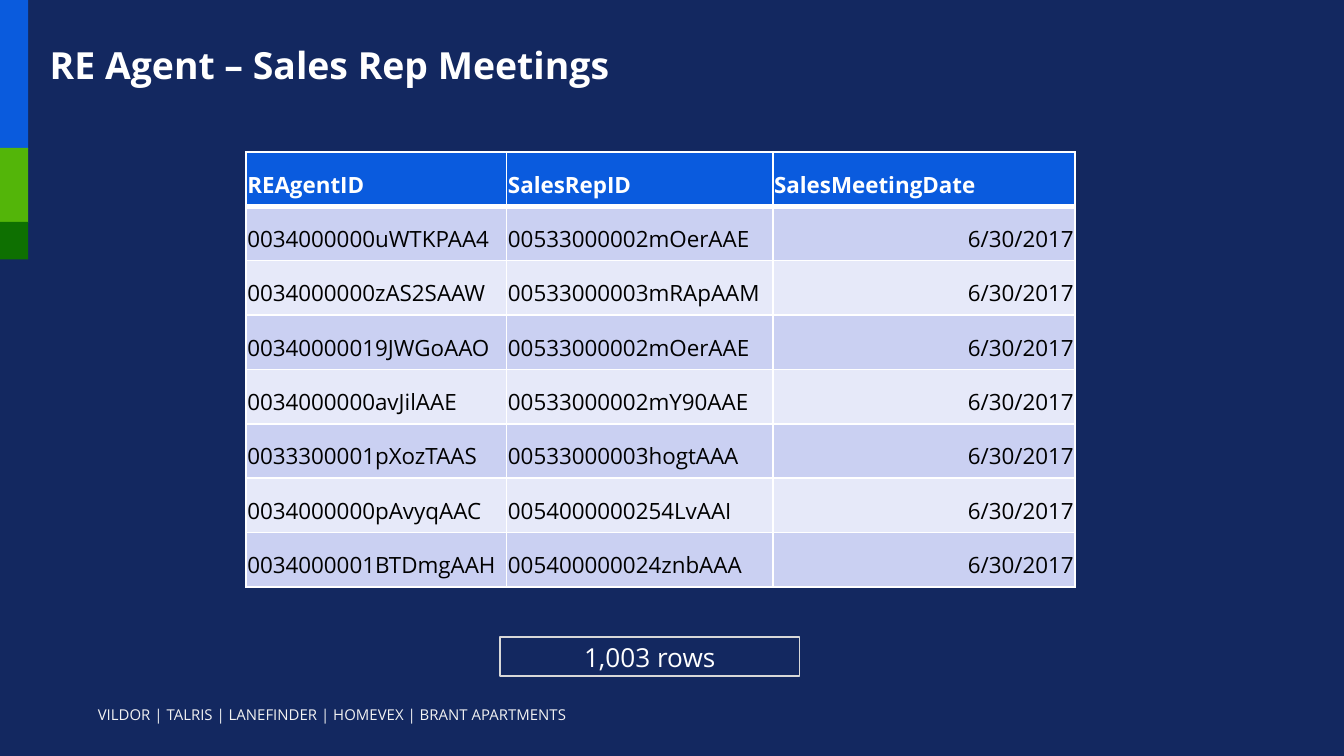
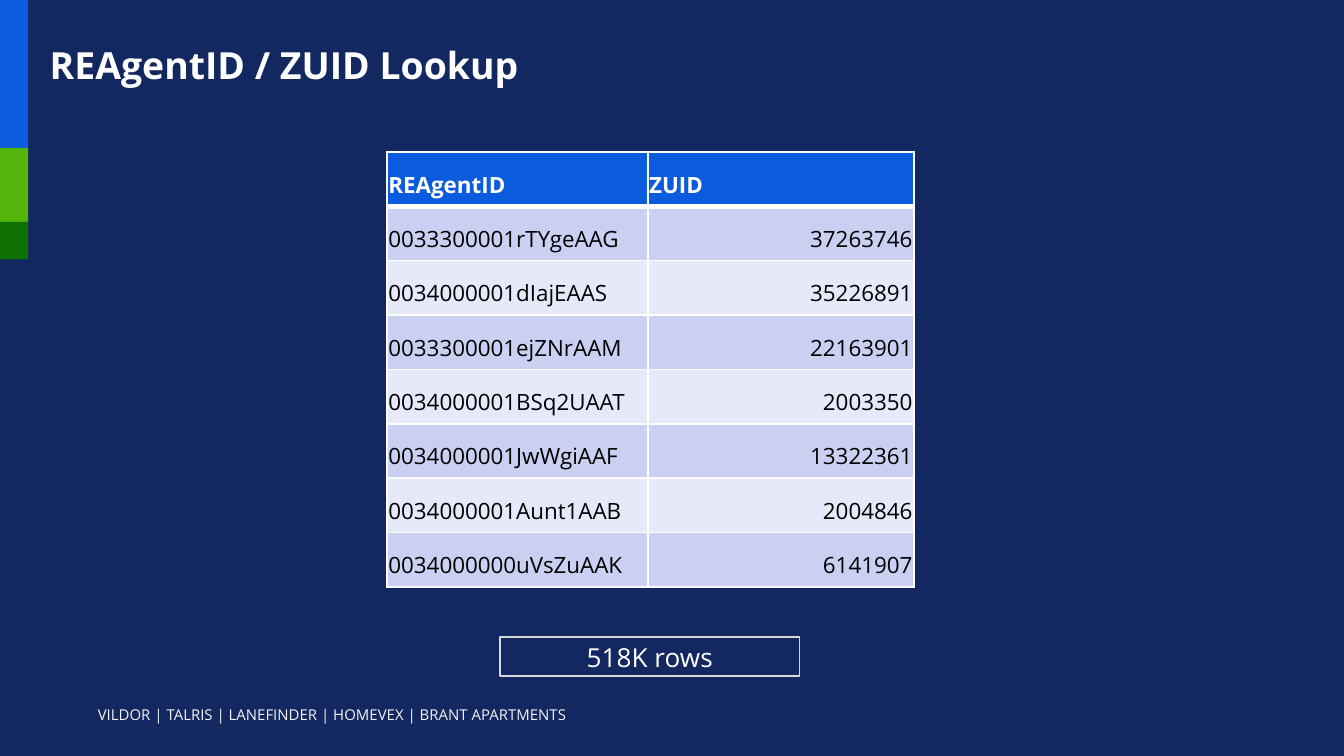
from lxml.etree import SubElement
from pptx import Presentation
from pptx.dml.color import RGBColor
from pptx.enum.shapes import MSO_SHAPE as Shape
from pptx.enum.text import MSO_ANCHOR as Anchor, PP_ALIGN as Align
from pptx.oxml.ns import qn
from pptx.util import Inches, Pt

FONT = "Open Sans"
NAVY = RGBColor(0x13, 0x28, 0x60)
BLUE = RGBColor(0x0A, 0x5B, 0xDD)
HEADER_BLUE = RGBColor(0x0A, 0x5B, 0xDE)
GREEN = RGBColor(0x53, 0xB5, 0x09)
DARK_GREEN = RGBColor(0x0E, 0x70, 0x01)
LAVENDER = RGBColor(0xCA, 0xD0, 0xF2)
PALE_LAVENDER = RGBColor(0xE6, 0xE9, 0xF9)
WHITE = RGBColor(0xFF, 0xFF, 0xFF)
OFF_WHITE = RGBColor(0xF2, 0xF2, 0xF2)
GRAY = RGBColor(0xD8, 0xD8, 0xD8)
BLACK = RGBColor(0, 0, 0)

SLIDE_WIDTH = Inches(10)
SLIDE_HEIGHT = SLIDE_WIDTH * 9 // 16
FOOTER = "VILDOR | TALRIS | LANEFINDER | HOMEVEX | BRANT APARTMENTS"
BANDS = [(0, 1.11, BLUE), (1.1, 0.56, GREEN), (1.65, 0.28, DARK_GREEN)]
BAND_WIDTH = 0.21
TABLE_TOP, TABLE_HEIGHT = 1.13, 3.24

SLIDES = [
    {
        "title": "RE Agent – Sales Rep Meetings",
        "left": 1.83,
        "columns": [1.94, 1.98, 2.25],
        "rows": [
            ("REAgentID", "SalesRepID", "SalesMeetingDate"),
            ("0034000000uWTKPAA4", "00533000002mOerAAE", "6/30/2017"),
            ("0034000000zAS2SAAW", "00533000003mRApAAM", "6/30/2017"),
            ("00340000019JWGoAAO", "00533000002mOerAAE", "6/30/2017"),
            ("0034000000avJilAAE", "00533000002mY90AAE", "6/30/2017"),
            ("0033300001pXozTAAS", "00533000003hogtAAA", "6/30/2017"),
            ("0034000000pAvyqAAC", "0054000000254LvAAI", "6/30/2017"),
            ("0034000001BTDmgAAH", "005400000024znbAAA", "6/30/2017"),
        ],
        "count": "1,003 rows",
    },
    {
        "title": "REAgentID / ZUID Lookup",
        "left": 2.88,
        "columns": [1.94, 1.98],
        "rows": [
            ("REAgentID", "ZUID"),
            ("0033300001rTYgeAAG", "37263746"),
            ("0034000001dIajEAAS", "35226891"),
            ("0033300001ejZNrAAM", "22163901"),
            ("0034000001BSq2UAAT", "2003350"),
            ("0034000001JwWgiAAF", "13322361"),
            ("0034000001Aunt1AAB", "2004846"),
            ("0034000000uVsZuAAK", "6141907"),
        ],
        "count": "518K rows",
    },
]


def set_margins(holder, margins):
    for side, size in zip(("left", "top", "right", "bottom"), margins):
        setattr(holder, f"margin_{side}", Inches(size))


def write(frame, text, size, color, bold=False, align=Align.LEFT):
    para = frame.paragraphs[0]
    para.alignment = align
    span = para.add_run()
    span.text = text
    for name, value in {"name": FONT, "size": Pt(size), "bold": bold}.items():
        setattr(span.font, name, value)
    span.font.color.rgb = color
    return para


def add_text(page, place, margins, anchor, *text_format):
    box = page.shapes.add_textbox(*map(Inches, place))
    frame = box.text_frame
    frame.word_wrap = True
    frame.vertical_anchor = anchor
    set_margins(frame, margins)
    return write(frame, *text_format)


def add_rectangle(page, *place):
    box = page.shapes.add_shape(Shape.RECTANGLE, *map(Inches, place))
    box.shadow.inherit = False
    return box


def add_frame(page, title):
    """Draw the background, side bands, footer and title."""
    page.background.fill.solid()
    page.background.fill.fore_color.rgb = NAVY
    for top, height, color in BANDS:
        band = add_rectangle(page, 0, top, BAND_WIDTH, height)
        band.fill.solid()
        band.fill.fore_color.rgb = color
        band.line.fill.background()
    add_text(page, (0.63, 5.2, 3.73, 0.24), (0.1, 0.05, 0.1, 0.05),
             Anchor.TOP, FOOTER, 8, OFF_WHITE)
    para = add_text(page, (0.35, 0.22, 9.52, 0.44), (0.02, 0.01, 0.02, 0.01),
                    Anchor.BOTTOM, title, 20, WHITE, True)
    para.line_spacing = 0.9


def add_borders(cell, top, bottom):
    """Draw white cell borders; the schema wants them ahead of the fill."""
    properties = cell._tc.get_or_add_tcPr()
    widths = {"L": 1, "R": 1, "T": top, "B": bottom}
    for index, (side, width) in enumerate(widths.items()):
        line = SubElement(properties, qn(f"a:ln{side}"), w=str(Pt(width)))
        fill = SubElement(line, qn("a:solidFill"))
        SubElement(fill, qn("a:srgbClr"), val=str(WHITE))
        properties.insert(index, line)


def add_data_table(page, left, columns, rows):
    place = map(Inches, (left, TABLE_TOP, sum(columns), TABLE_HEIGHT))
    table = page.shapes.add_table(len(rows), len(columns), *place).table
    for column, width in zip(table.columns, columns):
        column.width = Inches(width)
    for row_index, row in enumerate(rows):
        header = row_index == 0
        banded = LAVENDER if row_index % 2 else PALE_LAVENDER
        for column_index, text in enumerate(row):
            cell = table.cell(row_index, column_index)
            cell.vertical_anchor = Anchor.BOTTOM
            set_margins(cell, (0.01, 0.01, 0.01, 0.05))
            cell.fill.solid()
            cell.fill.fore_color.rgb = HEADER_BLUE if header else banded
            add_borders(cell, top=3 if row_index == 1 else 1,
                        bottom=3 if header else 1)
            last = column_index == len(columns) - 1
            write(cell.text_frame, text, 12, WHITE if header else BLACK, header,
                  Align.RIGHT if last and not header else Align.LEFT)


def add_row_count(page, text):
    box = add_rectangle(page, 3.72, 4.74, 2.23, 0.29)
    box.fill.background()
    box.line.color.rgb = GRAY
    box.line.width = Pt(1)
    box.text_frame.vertical_anchor = Anchor.MIDDLE
    write(box.text_frame, text, 14, WHITE, align=Align.CENTER)


def main():
    deck = Presentation()
    deck.slide_width, deck.slide_height = SLIDE_WIDTH, SLIDE_HEIGHT
    for content in SLIDES:
        page = deck.slides.add_slide(deck.slide_layouts[6])
        add_frame(page, content["title"])
        add_data_table(page, content["left"], content["columns"], content["rows"])
        add_row_count(page, content["count"])
    deck.save("out.pptx")


if __name__ == "__main__":
    main()
